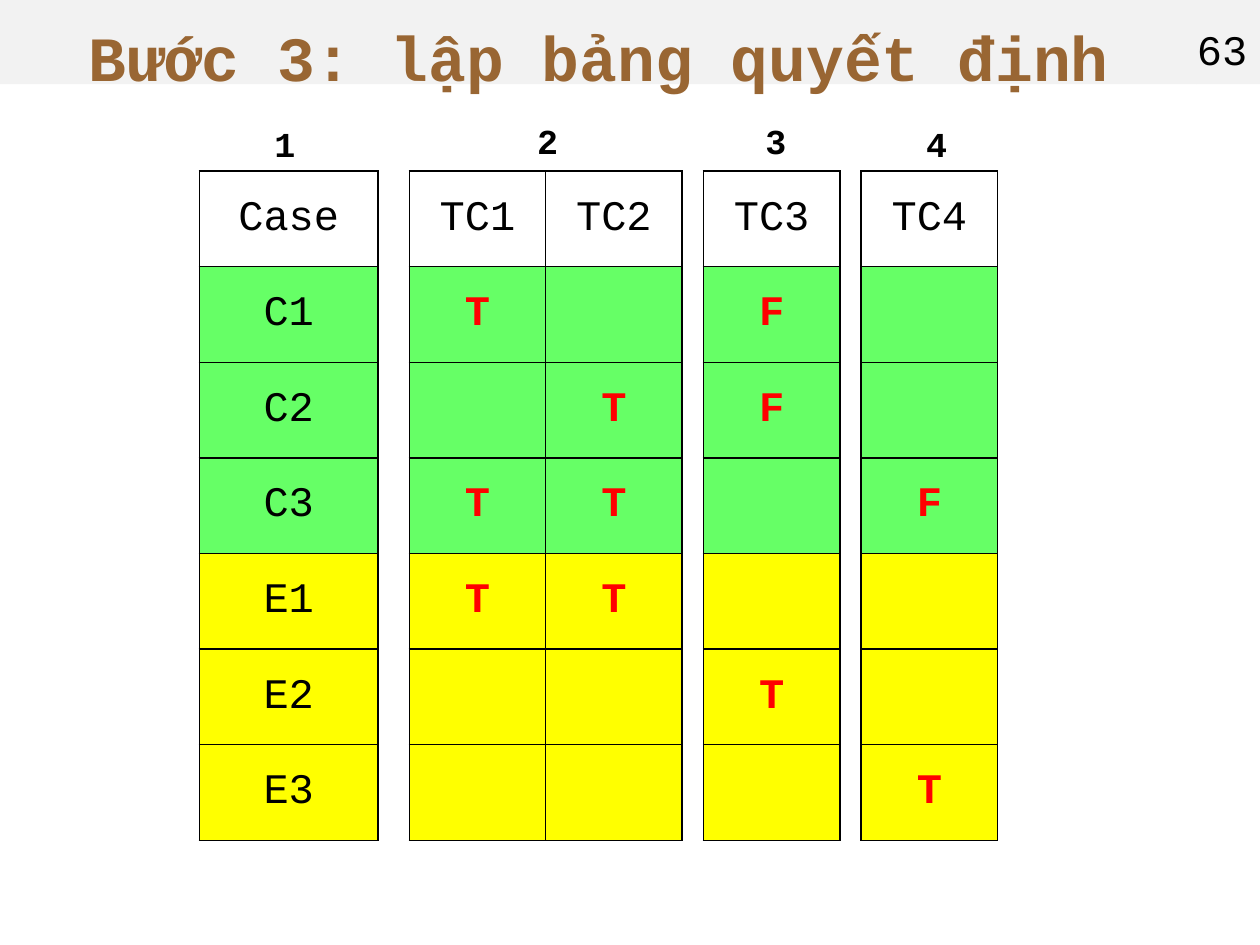
from lxml import etree
from pptx import Presentation
from pptx.dml.color import RGBColor
from pptx.enum.shapes import MSO_SHAPE
from pptx.enum.text import MSO_ANCHOR as Anchor, PP_ALIGN as Align
from pptx.oxml.ns import qn
from pptx.util import Cm, Pt

FONT = "Courier New"
BLACK, RED, BROWN = "000000", "FF0000", "996633"
GREY, WHITE, GREEN, YELLOW = "F2F2F2", "FFFFFF", "66FF66", "FFFF00"

SLIDE_W, SLIDE_H = 25.4, 19.05
HEADER_H = 1.7
NUMBER_W = 1.27

ROW_FILLS = [WHITE] + [GREEN] * 3 + [YELLOW] * 3
# (left, width, header, the six entries below it)
COLUMNS = [
    (4.02, 3.6, "Case", ["C1", "C2", "C3", "E1", "E2", "E3"]),
    (8.25, 2.75, "TC1", ["T", "", "T", "T", "", ""]),
    (11.0, 2.75, "TC2", ["", "T", "T", "T", "", ""]),
    (14.18, 2.75, "TC3", ["F", "F", "", "", "T", ""]),
    (17.36, 2.75, "TC4", ["", "", "F", "", "", "T"]),
]
# (left, top, number of the step)
STEPS = [(5.28, 2.34, "1"), (10.58, 2.29, "2"), (15.18, 2.29, "3"), (18.42, 2.34, "4")]


def color(hex_code):
    return RGBColor.from_string(hex_code)


def write(frame, text, size, text_color, bold=False, align=Align.LEFT):
    paragraph = frame.paragraphs[0]
    paragraph.alignment = align
    run = paragraph.add_run()
    run.text = text
    font = run.font
    font.name, font.size, font.bold = FONT, Pt(size), bold
    font.color.rgb = color(text_color)


def add_band(slide, left, top, width, height, inset_top):
    band = slide.shapes.add_shape(
        MSO_SHAPE.RECTANGLE, Cm(left), Cm(top), Cm(width), Cm(height))
    band.shadow.inherit = False
    band.fill.solid()
    band.fill.fore_color.rgb = color(GREY)
    band.line.fill.background()
    frame = band.text_frame
    frame.word_wrap = True
    frame.vertical_anchor = Anchor.TOP
    frame.margin_left = frame.margin_right = frame.margin_bottom = 0
    frame.margin_top = Cm(inset_top)
    return frame


def add_header(slide, left, top, width, height):
    title_w = width - NUMBER_W
    title = add_band(slide, left, top, title_w, height, 0.38)
    write(title, "Bước 3: lập bảng quyết định", 36, BROWN, True, Align.CENTER)
    number = add_band(slide, left + title_w, top, NUMBER_W, height, 0.48)
    write(number, "63", 24, BLACK)


def add_borders(cell):
    properties = cell._tc.get_or_add_tcPr()
    for position, side in enumerate(("a:lnL", "a:lnR", "a:lnT", "a:lnB")):
        border = etree.Element(qn(side), w=str(Pt(1)))
        fill = etree.SubElement(border, qn("a:solidFill"))
        etree.SubElement(fill, qn("a:srgbClr"), val=BLACK)
        properties.insert(position, border)


def add_column(slide, left, top, width, height, header, entries):
    texts = [header] + entries
    table = slide.shapes.add_table(
        len(texts), 1, Cm(left), Cm(top), Cm(width), Cm(height)).table
    table.first_row = table.horz_banding = False
    for index, (text, fill) in enumerate(zip(texts, ROW_FILLS)):
        table.rows[index].height = Cm(height / len(texts))
        cell = table.cell(index, 0)
        cell.fill.solid()
        cell.fill.fore_color.rgb = color(fill)
        cell.vertical_anchor = Anchor.MIDDLE
        cell.margin_left = cell.margin_right = 0
        cell.margin_top = cell.margin_bottom = 0
        if text:
            is_result = text in ("T", "F")
            write(cell.text_frame, text, 24, RED if is_result else BLACK,
                  is_result, Align.CENTER)
        add_borders(cell)


def add_decision_table(slide, top, height):
    for left, width, header, entries in COLUMNS:
        add_column(slide, left, top, width, height, header, entries)


def add_step_numbers(slide):
    for left, top, step in STEPS:
        label = slide.shapes.add_textbox(Cm(left), Cm(top), Cm(0.92), Cm(1.11))
        label.text_frame.word_wrap = False
        write(label.text_frame, step, 20, BLACK, True)


def main():
    deck = Presentation()
    deck.slide_width, deck.slide_height = Cm(SLIDE_W), Cm(SLIDE_H)
    slide = deck.slides.add_slide(deck.slide_layouts[6])
    # Title band with the page number
    add_header(slide, 0, 0, SLIDE_W, HEADER_H)
    # Decision table, one table for each column
    add_decision_table(slide, 3.45, 13.49)
    # Step numbers above the columns
    add_step_numbers(slide)
    deck.save("out.pptx")


if __name__ == "__main__":
    main()
